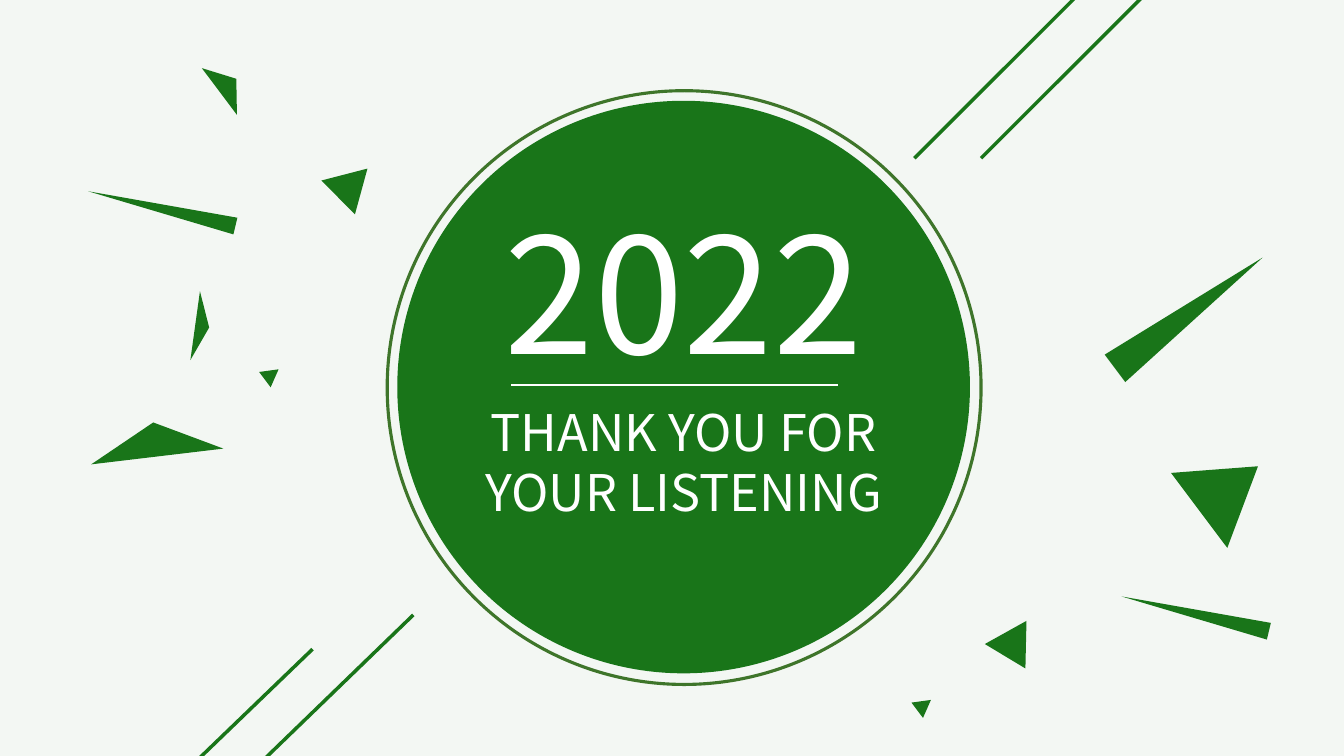
from lxml import etree
from pptx import Presentation
from pptx.dml.color import RGBColor
from pptx.enum.shapes import MSO_CONNECTOR, MSO_SHAPE
from pptx.enum.text import MSO_AUTO_SIZE, PP_ALIGN
from pptx.oxml.ns import qn
from pptx.util import Inches, Pt

TRIANGLE = MSO_SHAPE.ISOSCELES_TRIANGLE
ELLIPSE = MSO_SHAPE.OVAL
STRAIGHT = MSO_CONNECTOR.STRAIGHT
CENTER = PP_ALIGN.CENTER
GROW = MSO_AUTO_SIZE.SHAPE_TO_FIT_TEXT

GREEN = RGBColor(0x19, 0x75, 0x19)
RING_GREEN = RGBColor(0x3E, 0x75, 0x2A)
PALE_GREEN = RGBColor(0xF3, 0xF7, 0xF3)
WHITE = RGBColor(0xFF, 0xFF, 0xFF)


class ClosingSlide:
    font = "Noto Sans CJK SC"

    def __init__(self, prs):
        self.slide = prs.slides.add_slide(prs.slide_layouts[6])
        fill = self.slide.background.fill
        fill.solid()
        fill.fore_color.rgb = PALE_GREEN

    def shape(self, kind, left, top, width, height):
        shape = self.slide.shapes.add_shape(
            kind, Inches(left), Inches(top), Inches(width), Inches(height))
        shape.shadow.inherit = False
        return shape

    def shard(self, left, top, width, height, rotation):
        shard = self.shape(TRIANGLE, left, top, width, height)
        shard.rotation = rotation
        self.paint(shard)

    def paint(self, shape):
        shape.fill.solid()
        shape.fill.fore_color.rgb = GREEN
        shape.line.fill.background()

    def disc(self, left, top, size):
        self.paint(self.shape(ELLIPSE, left, top, size, size))

    def ring(self, left, top, size):
        ring = self.shape(ELLIPSE, left, top, size, size)
        ring.fill.background()
        ring.line.color.rgb = RING_GREEN
        ring.line.width = Pt(2.25)

    def line(self, x1, y1, x2, y2, color=GREEN, width=2.5):
        line = self.slide.shapes.add_connector(
            STRAIGHT, Inches(x1), Inches(y1), Inches(x2), Inches(y2))
        line.line.color.rgb = color
        line.line.width = Pt(width)
        etree.SubElement(line._element.spPr, qn("a:effectLst"))

    def text(self, words, left, top, width, height, size):
        box = self.slide.shapes.add_textbox(
            Inches(left), Inches(top), Inches(width), Inches(height))
        frame = box.text_frame
        frame.word_wrap = True
        frame.auto_size = GROW
        paragraph = frame.paragraphs[0]
        paragraph.text = words
        paragraph.alignment = CENTER
        paragraph.font.name = self.font
        paragraph.font.size = Pt(size)
        paragraph.font.color.rgb = WHITE


# left, top, width, height, rotation
SHARDS = [
    (0.88, 4.19, 1.32, 0.34, 353.2),
    (11.72, 4.48, 0.93, 0.73, 53.1),
    (2.6, 3.63, 0.19, 0.17, 53.1),
    (1.52, 1.32, 0.17, 1.5, 283.3),
    (3.15, 1.64, 0.47, 0.41, 285.3),
    (1.66, 3.17, 0.69, 0.14, 97.9),
    (9.84, 6.13, 0.47, 0.41, 31.1),
    (1.97, 0.74, 0.58, 0.21, 53.1),
    (11.62, 2.19, 0.34, 1.83, 53.1),
    (9.07, 6.91, 0.19, 0.17, 53.1),
    (11.77, 5.34, 0.17, 1.5, 283.3),
]
# Diagonals running past the slide edge
STREAKS = [
    (12.62, -1.32, 9.73, 1.57),
    (11.49, -0.85, 9.07, 1.57),
    (4.1, 6.1, 1.29, 8.82),
    (3.1, 6.44, 0.63, 8.82),
]


def main():
    prs = Presentation()
    prs.slide_width, prs.slide_height = Inches(13.33), Inches(7.5)
    closing = ClosingSlide(prs)

    # Central badge
    closing.disc(3.94, 1, 5.68)
    closing.ring(3.84, 0.9, 5.89)

    # Scattered decoration
    for shard in SHARDS:
        closing.shard(*shard)
    for streak in STREAKS:
        closing.line(*streak)

    # Year, message and the rule between them
    closing.text("2022", 4.72, 1.87, 4.12, 2.04, 115)
    closing.text("THANK YOU FOR YOUR LISTENING", 4.68, 3.93, 4.2, 1.92, 36)
    closing.line(5.07, 3.82, 8.31, 3.82, WHITE, 1.5)

    prs.save("out.pptx")


if __name__ == "__main__":
    main()
